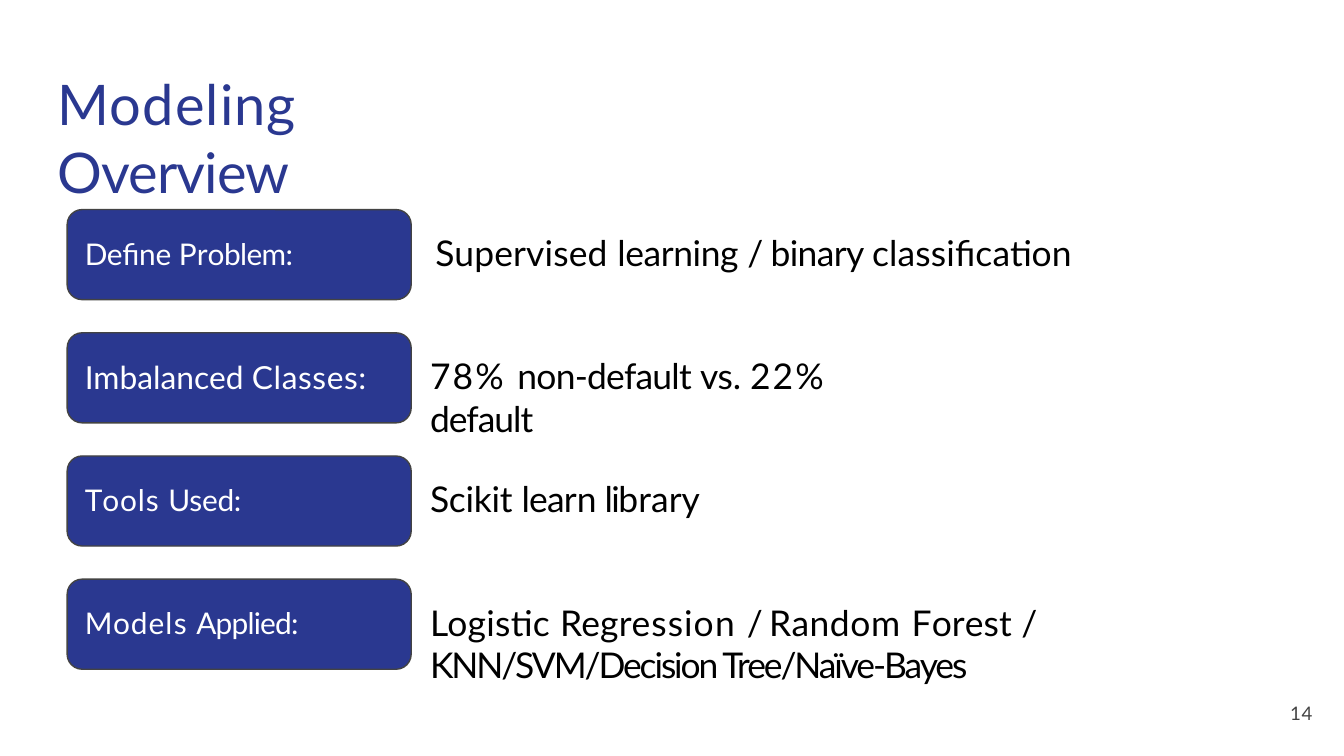
from pptx import Presentation
from pptx.dml.color import RGBColor
from pptx.enum.shapes import MSO_SHAPE
from pptx.enum.text import MSO_ANCHOR, PP_ALIGN
from pptx.util import Inches, Pt

ROUNDED = MSO_SHAPE.ROUNDED_RECTANGLE
TOP, MIDDLE = MSO_ANCHOR.TOP, MSO_ANCHOR.MIDDLE
LEFT = PP_ALIGN.LEFT

THEME = {
    "font": "Lato",
    "blue": RGBColor.from_string("2A3890"),
    "gray": RGBColor.from_string("434343"),
    "white": RGBColor.from_string("FFFFFF"),
    "black": RGBColor.from_string("000000"),
    "title": 30,
    "detail": 19,
    "number": 10,
}

TITLE = [("Modeling ", 0.6), ("Overview", -0.5)]
PAGE_NUMBER = [("14", 0.3)]
STEPS = [
    {
        "label": [("Deﬁne ", -0.1), ("P", 0.1), ("r", -0.1), ("oblem:", -0.3)],
        "label_size": 16,
        "detail": [("Supervised ", 0.1), ("learning ", -0.2), ("/ ", -1),
                   ("binary ", -0.3), ("classiﬁcation", 0.1)],
        "detail_left": 3.23, "detail_width": 4.9,
    },
    {
        "label": [("Imbalanced ", 0), ("Classes:", 0.3)],
        "label_size": 17,
        "detail": [("78% ", 1.2), ("non-default ", -0.4), ("vs. ", -0.1),
                   ("22% ", 1.2), ("default", -0.5)],
        "detail_left": 3.19, "detail_width": 3.75,
    },
    {
        "label": [("T", -0.6), ("ools ", 0.5), ("Used:", -0.1)],
        "label_size": 16,
        "detail": [("Scikit ", -0.1), ("lear", -0.4), ("n ", -0.5), ("lib", -0.8),
                   ("r", -1.1), ("a", -0.4), ("r", -0.2), ("y", -0.4)],
        "detail_left": 3.19, "detail_width": 3.69,
    },
    {
        "label": [("Model", 0.6), ("s ", 0.5), ("Applied:", -0.4)],
        "label_size": 16,
        "detail": [("Logisti", 0.2), ("c ", 0.3), ("Reg", 0.1), ("r", -0.1),
                   ("essio", 0.6), ("n ", 0.8), ("/ ", -1.5), ("Rando", 0.3),
                   ("m ", 0.6), ("F", 0.2), ("o", -0.2), ("r", -0.3),
                   ("est ", 0.1), ("/ ", -2.1),
                   ("KNN/SVM/Decision Tree/Naïve-Bayes", -1.1)],
        "detail_left": 3.19, "detail_width": 5.62,
    },
]

BOX_LEFT, BOX_TOP, BOX_WIDTH, BOX_HEIGHT = 0.5, 1.56, 2.56, 0.67
LAST_BOX_TOP = 4.31
STEP_PITCH = (LAST_BOX_TOP - BOX_TOP) / (len(STEPS) - 1)
DETAIL_OFFSET = 0.15


def write(holder, pieces, size, color, anchor=TOP, inset=0.01, before=1):
    frame = holder.text_frame
    frame.word_wrap = True
    frame.vertical_anchor = anchor
    frame.margin_left = Inches(inset)
    frame.margin_top = Inches(0.01 if anchor == TOP else 0)
    frame.margin_right = 0
    frame.margin_bottom = Inches(0 if anchor == TOP else 0.02)
    paragraph = frame.paragraphs[0]
    paragraph.alignment = LEFT
    paragraph.space_before = Pt(before)
    paragraph.line_spacing = 1.0
    paragraph.font.name = THEME["font"]
    paragraph.font.size = Pt(size)
    paragraph.font.color.rgb = color
    for words, spacing in pieces:
        run = paragraph.add_run()
        run.text = words
        run._r.get_or_add_rPr().set("spc", str(round(spacing * 100)))


def add_text(slide, left, top, width, height, pieces, size, color, **options):
    holder = slide.shapes.add_textbox(
        Inches(left), Inches(top), Inches(width), Inches(height))
    write(holder, pieces, size, color, **options)


def add_step(slide, index, step):
    top = BOX_TOP + index * STEP_PITCH
    label = slide.shapes.add_shape(
        ROUNDED, Inches(BOX_LEFT), Inches(top), Inches(BOX_WIDTH), Inches(BOX_HEIGHT))
    label.shadow.inherit = False
    label.fill.solid()
    label.fill.fore_color.rgb = THEME["blue"]
    label.line.color.rgb = THEME["gray"]
    label.line.width = Pt(0.75)
    write(label, step["label"], step["label_size"], THEME["white"],
          anchor=MIDDLE, inset=0.1, before=0)
    add_text(slide, step["detail_left"], top + DETAIL_OFFSET, step["detail_width"],
             0.34, step["detail"], THEME["detail"], THEME["black"])


def main():
    deck = Presentation()
    deck.slide_width = Inches(10)
    deck.slide_height = deck.slide_width * 9 // 16
    slide = deck.slides.add_slide(deck.slide_layouts[5])

    title = slide.shapes.title
    title.left, title.top = Inches(0.42), Inches(0.51)
    title.width, title.height = Inches(3.54), Inches(0.53)
    write(title, TITLE, THEME["title"], THEME["blue"])

    for index, step in enumerate(STEPS):
        add_step(slide, index, step)

    add_text(slide, 9.56, 5.21, 0.25, 0.19, PAGE_NUMBER, THEME["number"],
             THEME["gray"], inset=0.04, before=0)
    deck.save("out.pptx")


if __name__ == "__main__":
    main()
